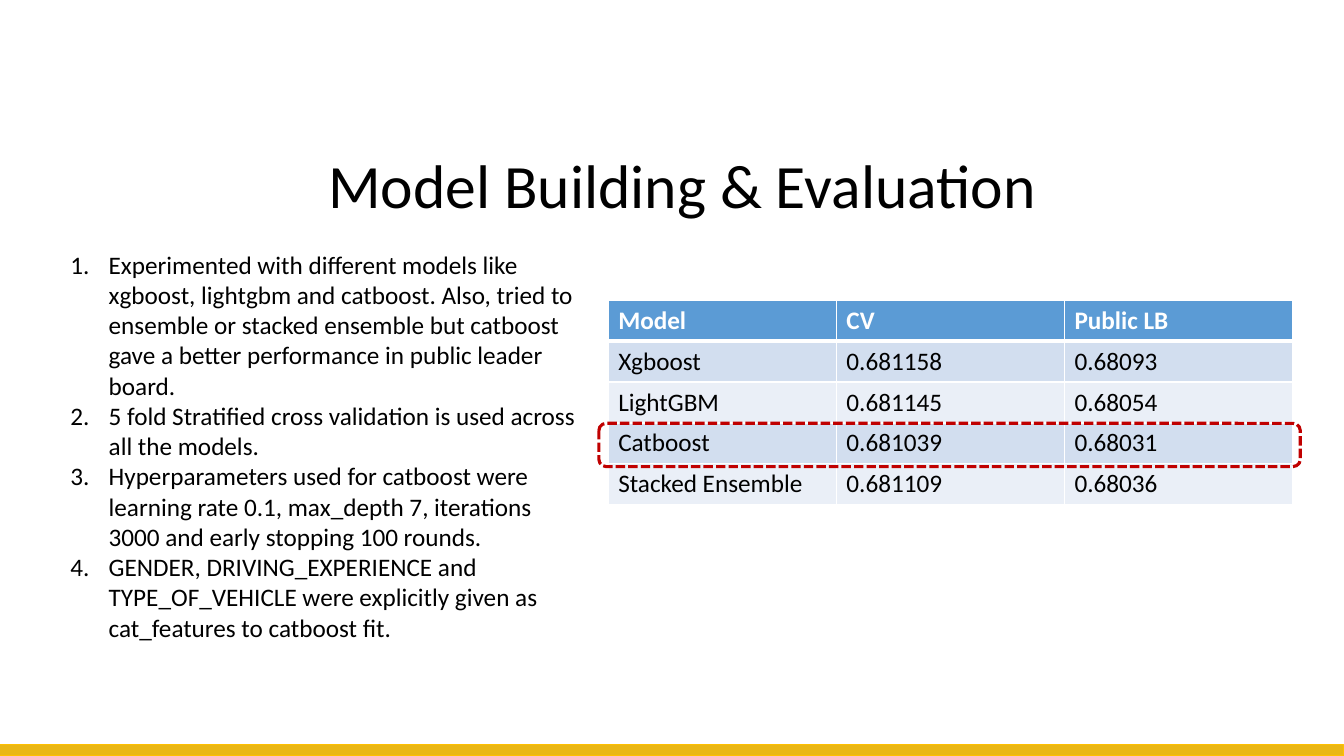
from lxml import etree
from pptx import Presentation
from pptx.dml.color import RGBColor
from pptx.enum.dml import MSO_LINE
from pptx.enum.shapes import MSO_SHAPE
from pptx.enum.text import MSO_ANCHOR, PP_ALIGN
from pptx.oxml.ns import qn
from pptx.util import Inches, Pt

RECTANGLE = MSO_SHAPE.RECTANGLE
ROUNDED = MSO_SHAPE.ROUNDED_RECTANGLE
DASH = MSO_LINE.SQUARE_DOT
MIDDLE = MSO_ANCHOR.MIDDLE
TOP = MSO_ANCHOR.TOP
CENTER = PP_ALIGN.CENTER
LEFT = PP_ALIGN.LEFT

COLUMNS, ROWS = 160, 90
COLORS = {
    "text": "000000",
    "white": "FFFFFF",
    "header": "5B9BD5",
    "odd": "D2DEEF",
    "even": "EAEFF7",
    "bar": "EAB716",
    "bar_line": "FFC000",
    "highlight": "C00000",
}
FINDINGS = [
    "Experimented with different models like xgboost, lightgbm and catboost. Also, tried to "
    "ensemble or stacked ensemble but catboost gave a better performance in public leader board.",
    "5 fold Stratified cross validation is used across all the models.",
    "Hyperparameters used for catboost were learning rate 0.1, max_depth 7, iterations 3000 "
    "and early stopping 100 rounds.",
    "GENDER, DRIVING_EXPERIENCE and TYPE_OF_VEHICLE were explicitly given as cat_features "
    "to catboost fit.",
]
SCORES = [
    ("Model", "CV", "Public LB"),
    ("Xgboost", "0.681158", "0.68093"),
    ("LightGBM", "0.681145", "0.68054"),
    ("Catboost", "0.681039", "0.68031"),
    ("Stacked Ensemble", "0.681109", "0.68036"),
]


class SlideBuilder:
    font = "Calibri"
    body_size = 18
    title_size = 44

    def __init__(self, presentation):
        self.width = presentation.slide_width
        self.height = presentation.slide_height
        self.slide = presentation.slides.add_slide(presentation.slide_layouts[6])

    def place(self, column, row, columns, rows):
        return (
            round(column * self.width / COLUMNS),
            round(row * self.height / ROWS),
            round(columns * self.width / COLUMNS),
            round(rows * self.height / ROWS),
        )

    def color(self, name):
        return RGBColor.from_string(COLORS[name])

    def run(self, paragraph, text, size, color="text", bold=False):
        run = paragraph.add_run()
        run.text = text
        run.font.name = self.font
        run.font.size = Pt(size)
        run.font.bold = bold
        run.font.color.rgb = self.color(color)

    def text_frame(self, box, anchor):
        frame = self.slide.shapes.add_textbox(*self.place(*box)).text_frame
        frame.word_wrap = True
        frame.vertical_anchor = anchor
        return frame

    def title(self, text, box):
        paragraph = self.text_frame(box, MIDDLE).paragraphs[0]
        paragraph.alignment = CENTER
        paragraph.line_spacing = 0.9
        self.run(paragraph, text, self.title_size)

    def numbered_list(self, items, box):
        frame = self.text_frame(box, TOP)
        indent = Inches(0.38)
        for index, item in enumerate(items):
            paragraph = frame.add_paragraph() if index else frame.paragraphs[0]
            paragraph.alignment = LEFT
            properties = paragraph._p.get_or_add_pPr()
            properties.set("marL", str(indent))
            properties.set("indent", str(-indent))
            etree.SubElement(properties, qn("a:buFont"), typeface="+mj-lt")
            etree.SubElement(properties, qn("a:buAutoNum"), type="arabicPeriod")
            self.run(paragraph, item, self.body_size)

    def shape(self, kind, box, line, line_width, fill=None, dash=None):
        shape = self.slide.shapes.add_shape(kind, *self.place(*box))
        shape.shadow.inherit = False
        if fill:
            shape.fill.solid()
            shape.fill.fore_color.rgb = self.color(fill)
        else:
            shape.fill.background()
        shape.line.color.rgb = self.color(line)
        shape.line.width = Pt(line_width)
        if dash:
            shape.line.dash_style = dash

    def borders(self, cell, widths):
        properties = cell._tc.get_or_add_tcPr()
        for side, width in zip("LRTB", widths):
            line = etree.SubElement(properties, qn(f"a:ln{side}"), w=str(Pt(width)))
            fill = etree.SubElement(line, qn("a:solidFill"))
            etree.SubElement(fill, qn("a:srgbClr"), val=COLORS["white"])

    def table(self, rows, box):
        frame = self.slide.shapes.add_table(len(rows), len(rows[0]), *self.place(*box))
        for row_index, values in enumerate(rows):
            header = row_index == 0
            fill = "header" if header else ("even", "odd")[row_index % 2]
            top = 3 if row_index == 1 else 1
            bottom = 3 if header else 1
            for column_index, value in enumerate(values):
                cell = frame.table.cell(row_index, column_index)
                self.borders(cell, (1, 1, top, bottom))
                cell.fill.solid()
                cell.fill.fore_color.rgb = self.color(fill)
                color = "white" if header else "text"
                self.run(cell.text_frame.paragraphs[0], value, self.body_size, color, header)


def main():
    presentation = Presentation()
    presentation.slide_width = Inches(13.33)
    presentation.slide_height = Inches(7.5)
    builder = SlideBuilder(presentation)
    builder.title("Model Building & Evaluation", (12.25, 16.7, 138, 11.4))
    builder.shape(RECTANGLE, (0, 88.65, 160, 1.35), "bar_line", 0, fill="bar")
    builder.table(SCORES, (72.4, 35.75, 81.5, 24.35))
    builder.numbered_list(FINDINGS, (7.2, 29.05, 63, 52.1))
    builder.shape(ROUNDED, (71.3, 50.4, 83.5, 5.15), "highlight", 2.25, dash=DASH)
    presentation.save("out.pptx")


if __name__ == "__main__":
    main()
